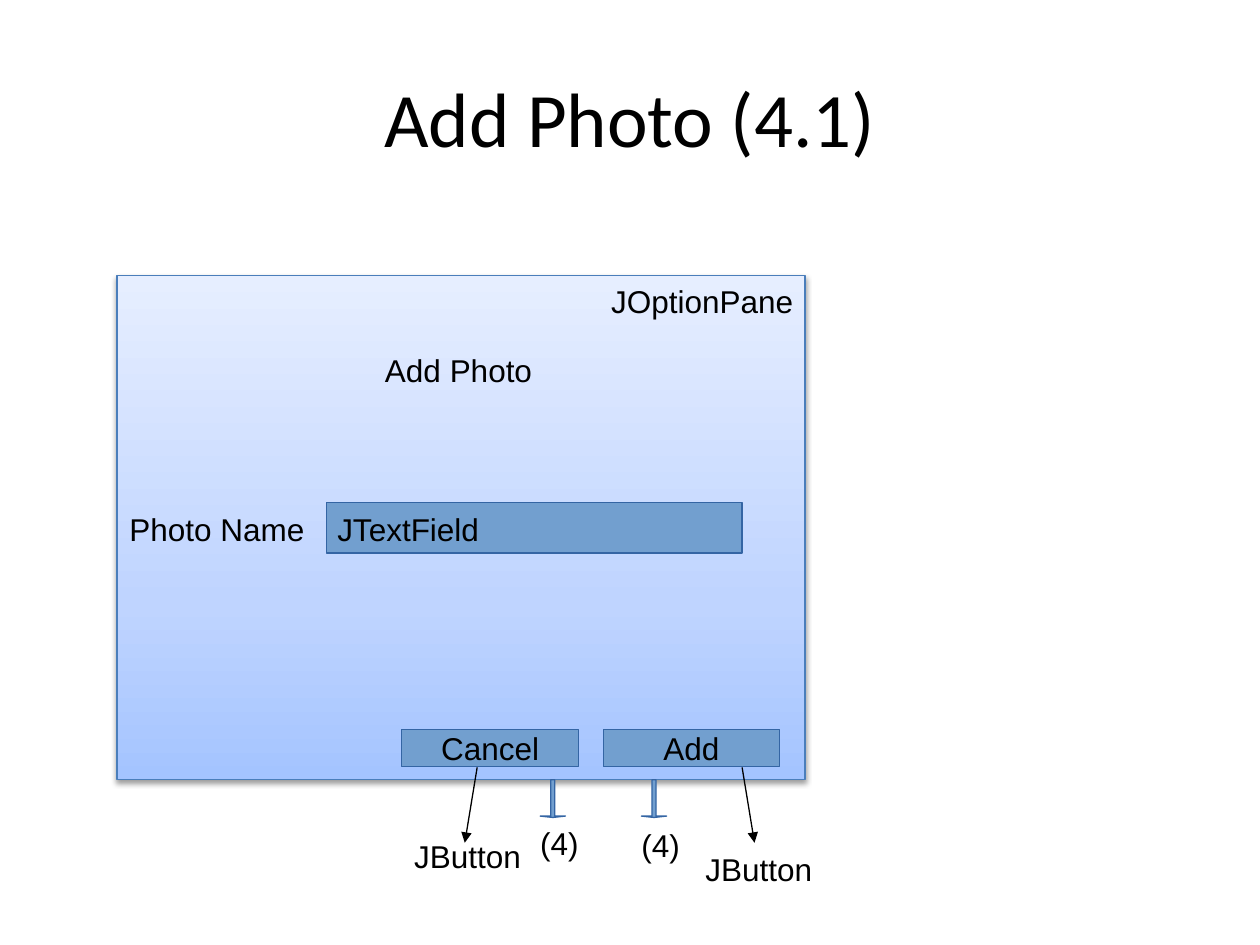
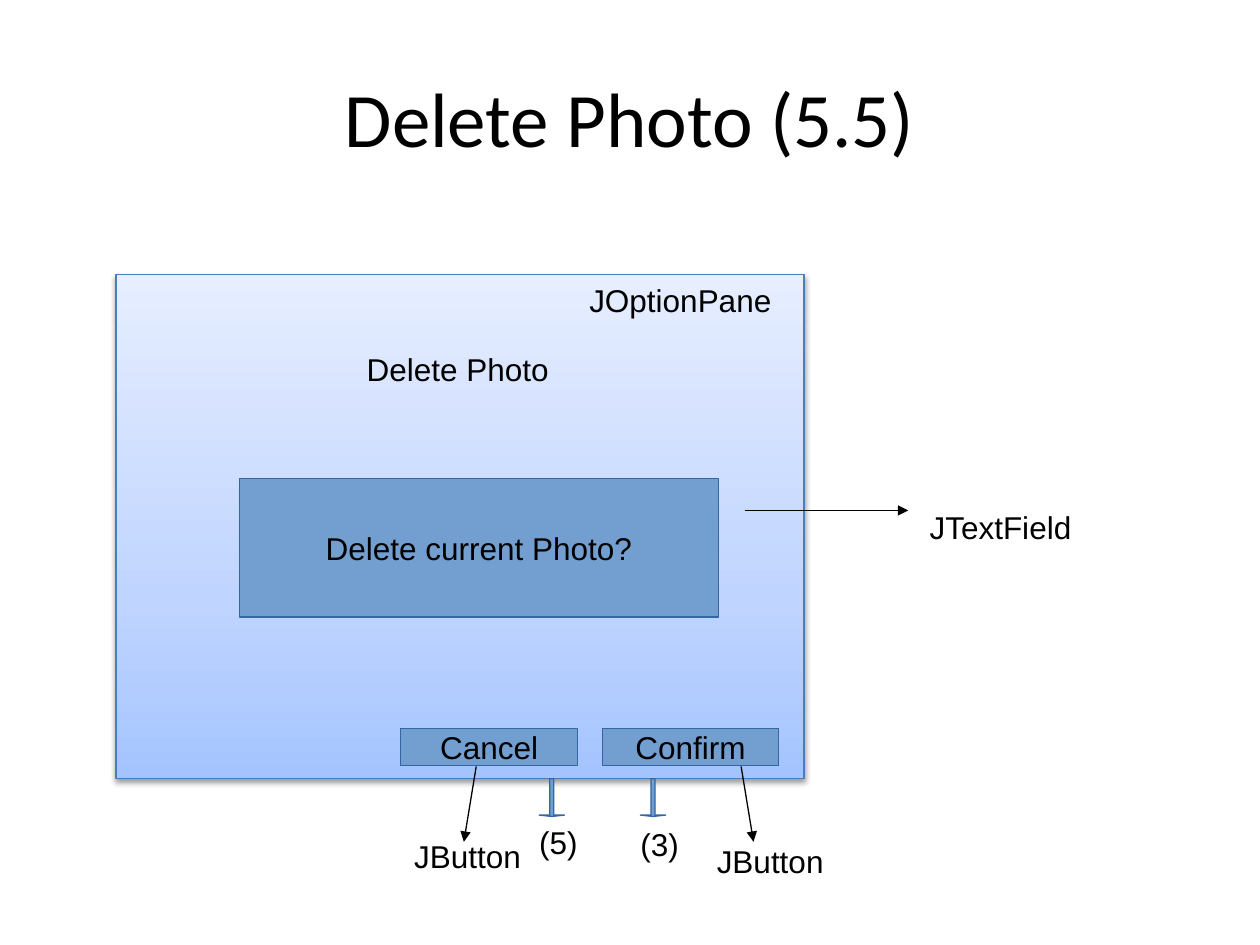
from dataclasses import dataclass

from lxml.etree import SubElement
from pptx import Presentation
from pptx.dml.color import RGBColor
from pptx.enum.shapes import MSO_CONNECTOR, MSO_SHAPE
from pptx.enum.text import MSO_ANCHOR, PP_ALIGN
from pptx.oxml.ns import qn
from pptx.shapes.autoshape import Shape
from pptx.slide import Slide
from pptx.text.text import TextFrame
from pptx.util import Cm, Pt

BLACK = "000000"
FILL = "729FCF"
EDGE = "3465A4"
RIM = "4A7EBB"
SHADES = ((0, "A4C4FF"), (35, "BFD4FF"), (100, "E6EEFF"))


@dataclass(frozen=True)
class Box:
    """A rectangle in centimetres."""
    left: float
    top: float
    width: float
    height: float

    def lengths(self) -> tuple[Cm, ...]:
        """Give the four lengths."""
        return tuple(Cm(v) for v in (self.left, self.top, self.width, self.height))


@dataclass(frozen=True)
class Tag:
    """A free label beside or on a part."""
    text: str
    box: Box


@dataclass(frozen=True)
class Button:
    """A button with the step that it leads to."""
    text: str
    step: str
    left: float
    arrow: float
    drop: float
    start: float
    end: float


@dataclass(frozen=True)
class Pane:
    """A dialog sketch on one slide."""
    title: str
    head: str
    left: float
    top: float
    buttons: tuple[Button, ...]
    field: Tag
    tags: tuple[Tag, ...]
    lines: tuple[tuple[float, float, float, float], ...] = ()


def hue(code: str) -> RGBColor:
    """Turn a hex string into a colour."""
    return RGBColor.from_string(code)


def write(frame: TextFrame, text: str, size: int = 18, font: str = "Arial",
          middle: bool = False) -> None:
    """Put formatted text in a frame."""
    frame.text = text
    line = frame.paragraphs[0]
    line.alignment = PP_ALIGN.CENTER if middle else PP_ALIGN.LEFT
    frame.vertical_anchor = MSO_ANCHOR.MIDDLE if middle else MSO_ANCHOR.TOP
    for run in line.runs:
        run.font.size, run.font.name = Pt(size), font
        run.font.color.rgb = hue(BLACK)


def add_tag(slide: Slide, tag: Tag, middle: bool = False) -> None:
    """Draw a label, centred without wrapping if asked."""
    frame = slide.shapes.add_textbox(*tag.box.lengths()).text_frame
    frame.word_wrap = not middle
    write(frame, tag.text, middle=middle)


def add_box(slide: Slide, box: Box, text: str = "", edge: str = EDGE,
            kind: MSO_SHAPE = MSO_SHAPE.RECTANGLE) -> Shape:
    """Draw a filled and outlined shape."""
    shape = slide.shapes.add_shape(kind, *box.lengths())
    shape.shadow.inherit = False
    shape.fill.solid()
    shape.fill.fore_color.rgb = hue(FILL)
    shape.line.color.rgb = hue(edge)
    shape.line.width = Pt(0.75)
    if text:
        shape.text_frame.word_wrap = False
        write(shape.text_frame, text, middle=True)
    return shape


def add_back(slide: Slide, box: Box) -> None:
    """Draw the shaded pane with its soft shadow."""
    shape = add_box(slide, box, edge=RIM)
    shape.fill.gradient()
    shape.fill.gradient_angle = 90
    props = shape._element.spPr
    stops = props.find(".//" + qn("a:gsLst"))
    for stop in list(stops):
        stops.remove(stop)
    for place, code in SHADES:
        stop = SubElement(stops, qn("a:gs"), pos=str(place * 1000))
        SubElement(stop, qn("a:srgbClr"), val=code)
    shade = SubElement(props.find(qn("a:effectLst")), qn("a:outerShdw"),
                       blurRad=str(Pt(3.1)), dist=str(Pt(1.6)),
                       dir="5400000", rotWithShape="0")
    tint = SubElement(shade, qn("a:srgbClr"), val=BLACK)
    SubElement(tint, qn("a:alpha"), val="38000")


def add_line(slide: Slide, *ends: float) -> None:
    """Draw a thin line with an arrowhead at its end."""
    line = slide.shapes.add_connector(MSO_CONNECTOR.STRAIGHT, *(Cm(v) for v in ends))
    line.line.color.rgb = hue(BLACK)
    line.line.width = Pt(0.75)
    SubElement(line.line._get_or_add_ln(), qn("a:tailEnd"), type="triangle")
    SubElement(line._element.spPr, qn("a:effectLst"))


def add_button(slide: Slide, pane: Pane, button: Button) -> None:
    """Draw a button, its step arrow and its pointer."""
    x, y = pane.left, pane.top
    add_box(slide, Box(x + button.left, y + 9.14, 3.56, 0.76), button.text)
    arrow = add_box(slide, Box(x + button.arrow, y + 10.16, 0.51, 0.76),
                    kind=MSO_SHAPE.DOWN_ARROW)
    arrow.adjustments[0], arrow.adjustments[1] = 0.162, 0.054
    add_line(slide, x + button.start, y + 9.91, x + button.end, y + 11.43)
    add_tag(slide, Tag(button.step, Box(x + button.arrow - 0.25, y + button.drop, 1.78, 0.97)))


def add_pane(deck: Presentation, pane: Pane) -> None:
    """Build one slide."""
    slide = deck.slides.add_slide(deck.slide_layouts[5])
    title = slide.shapes.title
    title.left, title.top, title.width, title.height = Box(1.27, 0.76, 22.86, 3.18).lengths()
    frame = title.text_frame
    frame.margin_left = frame.margin_right = frame.margin_top = frame.margin_bottom = 0
    write(frame, pane.title, 44, "Calibri", True)
    add_back(slide, Box(pane.left, pane.top, 13.87, 10.16))
    add_tag(slide, Tag(pane.head, Box(pane.left + 1.17, pane.top + 1.27, 11.43, 1.27)), True)
    add_box(slide, pane.field.box, pane.field.text)
    for button in pane.buttons:
        add_button(slide, pane, button)
    for ends in pane.lines:
        add_line(slide, *ends)
    for tag in pane.tags:
        add_tag(slide, tag)


def pair(text: str, back: str, step: str) -> tuple[Button, ...]:
    """Give the cancel button and the button that acts."""
    return (Button("Cancel", back, 5.74, 8.53, 10.92, 7.26, 7.01),
            Button(text, step, 9.8, 10.57, 10.97, 12.6, 12.85))


def kinds(left: float, top: float) -> tuple[Tag, ...]:
    """Give the two button labels, the second at the given place."""
    return tuple(Tag("JButton", Box(x, y, 3.56, 1.68))
                 for x, y in ((8.1, 16.74), (left, top)))


PANES = (
    Pane("Add Photo (4.1)", "Add Photo", 2.36, 5.56, pair("Add", "(4)", "(4)"),
         Tag("", Box(6.58, 10.13, 8.38, 1.02)),
         (Tag("JOptionPane", Box(12.07, 5.56, 4.42, 1.68)),
          Tag("Photo Name", Box(2.36, 10.16, 4.22, 1.68)),
          Tag("JTextField", Box(6.55, 10.16, 4.57, 0.97)),
          *kinds(13.97, 17.02))),
    Pane("Delete Photo (5.5)", "Delete Photo", 2.34, 5.54, pair("Confirm", "(5)", "(3)"),
         Tag("Delete current Photo?", Box(4.83, 9.65, 9.65, 2.79)),
         (Tag("JOptionPane", Box(11.63, 5.54, 4.83, 1.68)),
          Tag("JTextField", Box(18.49, 10.11, 4.57, 0.97)),
          *kinds(14.2, 16.84)),
         ((15.01, 10.29, 18.31, 10.29),)),
)


def main() -> None:
    """Build and save the deck."""
    deck = Presentation()
    deck.slide_width, deck.slide_height = Cm(25.4), Cm(19.05)
    for pane in PANES:
        add_pane(deck, pane)
    deck.save("out.pptx")


if __name__ == "__main__":
    main()
